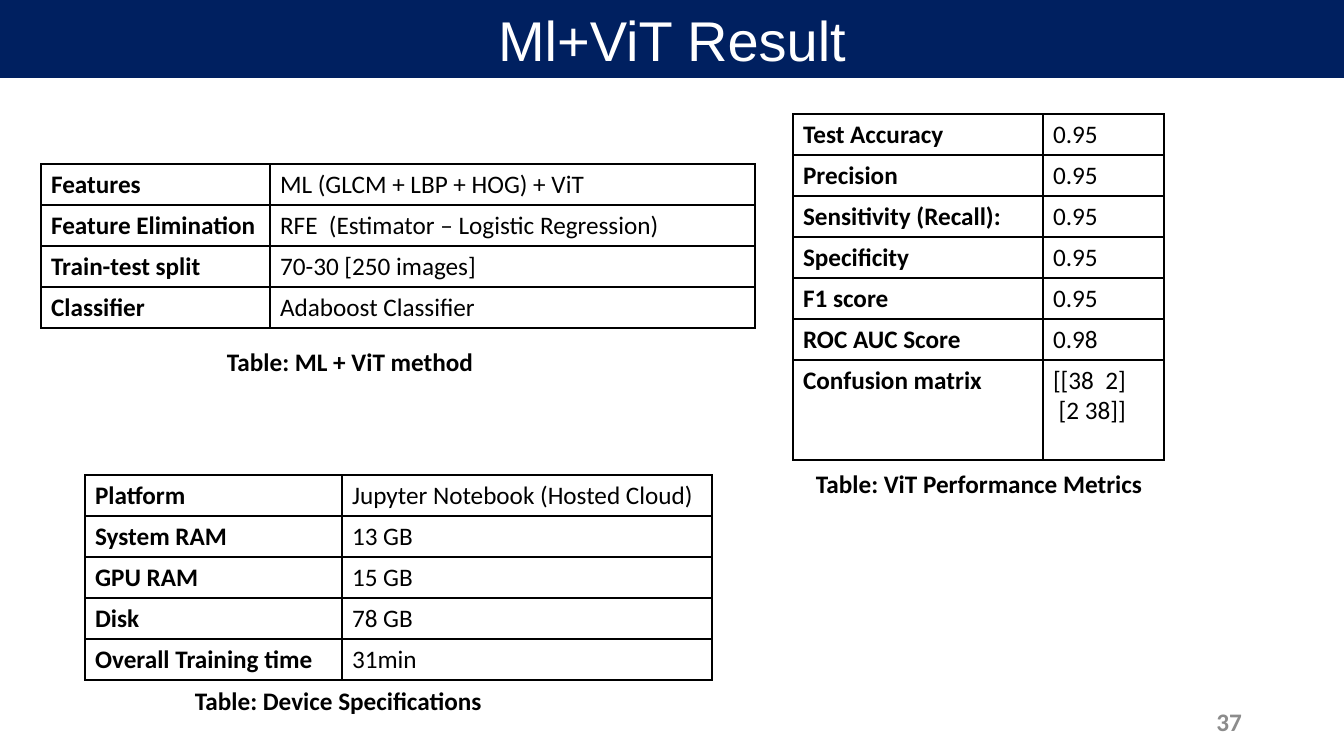
import pptx
import pptx.dml.color
import pptx.enum.text
import pptx.oxml
import pptx.oxml.ns
import pptx.util

EMU_PER_PX = 914400 / 100.8
SLIDE_WIDTH, SLIDE_HEIGHT = 1344, 756
ROW_HEIGHT = 41

NAVY = pptx.dml.color.RGBColor(0x00, 0x20, 0x60)
WHITE = pptx.dml.color.RGBColor(0xFF, 0xFF, 0xFF)
BLACK = pptx.dml.color.RGBColor(0x00, 0x00, 0x00)
GREY = pptx.dml.color.RGBColor(0x8C, 0x8C, 0x8C)

ALIGN = pptx.enum.text.PP_ALIGN
ANCHOR = pptx.enum.text.MSO_ANCHOR

METHOD_ROWS = [
    ("Features", "ML (GLCM + LBP + HOG) + ViT"),
    ("Feature Elimination", "RFE  (Estimator – Logistic Regression)"),
    ("Train-test split", "70-30 [250 images]"),
    ("Classifier", "Adaboost Classifier"),
]
DEVICE_ROWS = [
    ("Platform", "Jupyter Notebook (Hosted Cloud)"),
    ("System RAM", "13 GB"),
    ("GPU RAM", "15 GB"),
    ("Disk", "78 GB"),
    ("Overall Training time", "31min"),
]
METRIC_ROWS = [
    ("Test Accuracy", "0.95"),
    ("Precision", "0.95"),
    ("Sensitivity (Recall):", "0.95"),
    ("Specificity", "0.95"),
    ("F1 score", "0.95"),
    ("ROC AUC Score", "0.98"),
    ("Confusion matrix", "[[38  2]\n [2 38]]"),
]


def px(length):
    return pptx.util.Emu(round(length * EMU_PER_PX))


def write(text_frame, text, size=18, font="Calibri", color=BLACK, bold=False,
          align=ALIGN.LEFT):
    """Write one paragraph for each line of the text."""
    for index, line in enumerate(text.split("\n")):
        paragraph = text_frame.add_paragraph() if index else text_frame.paragraphs[0]
        paragraph.alignment = align
        run = paragraph.add_run()
        run.text = line
        run.font.size = pptx.util.Pt(size)
        run.font.name = font
        run.font.bold = bold
        run.font.color.rgb = color


def add_title(slide, text):
    title = slide.shapes.title
    title.left, title.top = px(0), px(0)
    title.width, title.height = px(SLIDE_WIDTH), px(78)
    title.fill.solid()
    title.fill.fore_color.rgb = NAVY
    text_frame = title.text_frame
    text_frame.auto_size = pptx.enum.text.MSO_AUTO_SIZE.NONE
    text_frame.vertical_anchor = ANCHOR.MIDDLE
    write(text_frame, text, size=40, font="Arial", color=WHITE, align=ALIGN.CENTER)


def add_label(slide, text, left, top, width, anchor=ANCHOR.TOP, **style):
    box = slide.shapes.add_textbox(px(left), px(top), px(width), px(40))
    box.text_frame.word_wrap = True
    box.text_frame.vertical_anchor = anchor
    write(box.text_frame, text, bold=True, **style)


def add_borders(cell):
    properties = cell._tc.get_or_add_tcPr()
    for index, side in enumerate(("lnL", "lnR", "lnT", "lnB")):
        border = pptx.oxml.parse_xml(
            f'<a:{side} {pptx.oxml.ns.nsdecls("a")} w="12700"><a:solidFill>'
            f'<a:srgbClr val="{BLACK}"/></a:solidFill></a:{side}>')
        properties.insert(index, border)


def add_grid(slide, rows, left, top, column_widths, last_row_height=ROW_HEIGHT):
    heights = [ROW_HEIGHT] * (len(rows) - 1) + [last_row_height]
    table = slide.shapes.add_table(
        len(rows), len(column_widths), px(left), px(top),
        px(sum(column_widths)), px(sum(heights))).table
    table.first_row = table.horz_banding = False
    for column, width in zip(table.columns, column_widths):
        column.width = px(width)
    for row, height, texts in zip(table.rows, heights, rows):
        row.height = px(height)
        for index, (cell, text) in enumerate(zip(row.cells, texts)):
            cell.fill.background()
            add_borders(cell)
            write(cell.text_frame, text, bold=index == 0)


def main():
    presentation = pptx.Presentation()
    presentation.slide_width = px(SLIDE_WIDTH)
    presentation.slide_height = px(SLIDE_HEIGHT)
    slide = presentation.slides.add_slide(presentation.slide_layouts[5])

    # Title bar and page number
    add_title(slide, "Ml+ViT Result")
    add_label(slide, "37", 950, 701, 302, anchor=ANCHOR.MIDDLE,
              color=GREY, align=ALIGN.RIGHT)

    # Method
    add_grid(slide, METHOD_ROWS, 41, 164, (229, 485))
    add_label(slide, "Table: ML + ViT method", 217, 341, 530)

    # Device
    add_grid(slide, DEVICE_ROWS, 85, 475, (257, 370))
    add_label(slide, "Table: Device Specifications", 185, 680, 530)

    # Performance
    add_grid(slide, METRIC_ROWS, 793, 114, (250, 121), last_row_height=100)
    add_label(slide, "Table: ViT Performance Metrics", 806, 463, 530)

    presentation.save("out.pptx")


if __name__ == "__main__":
    main()
